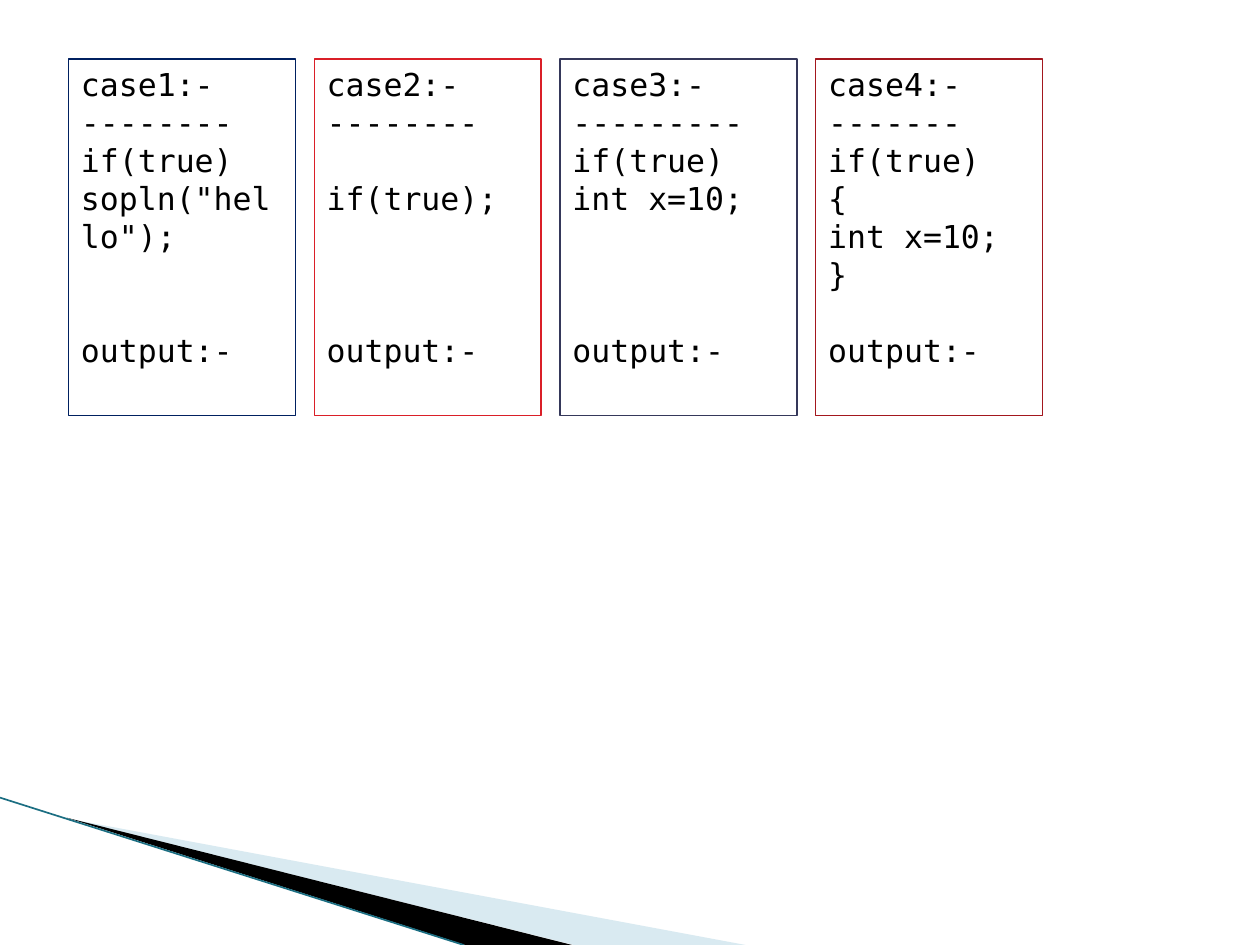
from lxml import etree
from pptx import Presentation
from pptx.dml.color import RGBColor
from pptx.enum.shapes import MSO_CONNECTOR, MSO_SHAPE
from pptx.enum.text import MSO_ANCHOR, PP_ALIGN
from pptx.oxml.ns import qn
from pptx.util import Pt

RECT = MSO_SHAPE.RECTANGLE
STRAIGHT = MSO_CONNECTOR.STRAIGHT
TOP = MSO_ANCHOR.TOP
LEFT = PP_ALIGN.LEFT


def rgb(hex_color):
    """Turn a hex string into a colour."""
    return RGBColor.from_string(hex_color)


class Deck:
    """Holds the style and the current slide."""
    font, size, leading, ink = "DejaVu Sans Mono", 18, 21.7, "000000"

    def __init__(self, slide):
        self.s = slide

    def wedge(self, points, color, alpha=100):
        """Draw a filled outline without a border."""
        pts = [(Pt(x), Pt(y)) for x, y in points]
        fb = self.s.shapes.build_freeform(*pts[0])
        fb.add_line_segments(pts[1:], close=True)
        sp = fb.convert_to_shape()
        sp.shadow.inherit = False
        sp.line.fill.background()
        sp.fill.solid()
        sp.fill.fore_color.rgb = rgb(color)
        if alpha < 100:
            clr = sp.fill._xPr.find(qn("a:solidFill"))[0]
            etree.SubElement(clr, qn("a:alpha"), val=str(alpha * 1000))

    def line(self, x1, y1, x2, y2, color, width):
        """Draw a straight line."""
        ln = self.s.shapes.add_connector(STRAIGHT, Pt(x1), Pt(y1), Pt(x2), Pt(y2))
        ln.line.color.rgb = rgb(color)
        ln.line.width = Pt(width)
        etree.SubElement(ln._element.spPr, qn("a:effectLst"))

    def code_box(self, x, y, w, h, color, lines):
        """Draw a framed listing from (text, blank lines above) pairs."""
        sp = self.s.shapes.add_shape(RECT, Pt(x), Pt(y), Pt(w), Pt(h))
        sp.shadow.inherit = False
        sp.fill.background()
        sp.line.color.rgb = rgb(color)
        sp.line.width = Pt(0.75)
        tf = sp.text_frame
        tf.word_wrap = True
        tf.vertical_anchor = TOP
        for i, (text, gap) in enumerate(lines):
            p = tf.paragraphs[0] if i == 0 else tf.add_paragraph()
            p.alignment = LEFT
            p.line_spacing = Pt(self.leading)
            p.space_before = Pt(gap * self.leading)
            r = p.add_run()
            r.text = text
            r.font.name = self.font
            r.font.size = Pt(self.size)
            r.font.color.rgb = rgb(self.ink)


CASES = [
    (129.6, "002060", [("case1:-", 0), ("--------", 0), ("if(true)", 0),
                       ('sopln("hello");', 0), ("output:-", 2)]),
    (129.6, "DA1F28", [("case2:-", 0), ("--------", 0), ("if(true);", 1),
                       ("output:-", 3)]),
    (135.4, "35385A", [("case3:-", 0), ("---------", 0), ("if(true)", 0),
                       ("int x=10;", 0), ("output:-", 3)]),
    (129.6, "A3171E", [("case4:-", 0), ("-------", 0), ("if(true)", 0), ("{", 0),
                       ("int x=10;", 0), ("}", 0), ("output:-", 1)]),
]
BOX_TOP, BOX_HEIGHT, GAP = 33.8, 203.8, 10.8

prs = Presentation()
prs.slide_width, prs.slide_height = Pt(720), Pt(540)
deck = Deck(prs.slides.add_slide(prs.slide_layouts[6]))

deck.wedge([(39.6, 468), (426, 540), (328, 540)], "A0CBDC", 40)
deck.wedge([(38.2, 467.3), (327, 540), (266, 540)], "000000")
deck.line(0, 455.8, 265, 540, "1B6E82", 0.95)

x = 39.2
for width, color, lines in CASES:
    deck.code_box(x, BOX_TOP, width, BOX_HEIGHT, color, lines)
    x += width + GAP

prs.save("out.pptx")
